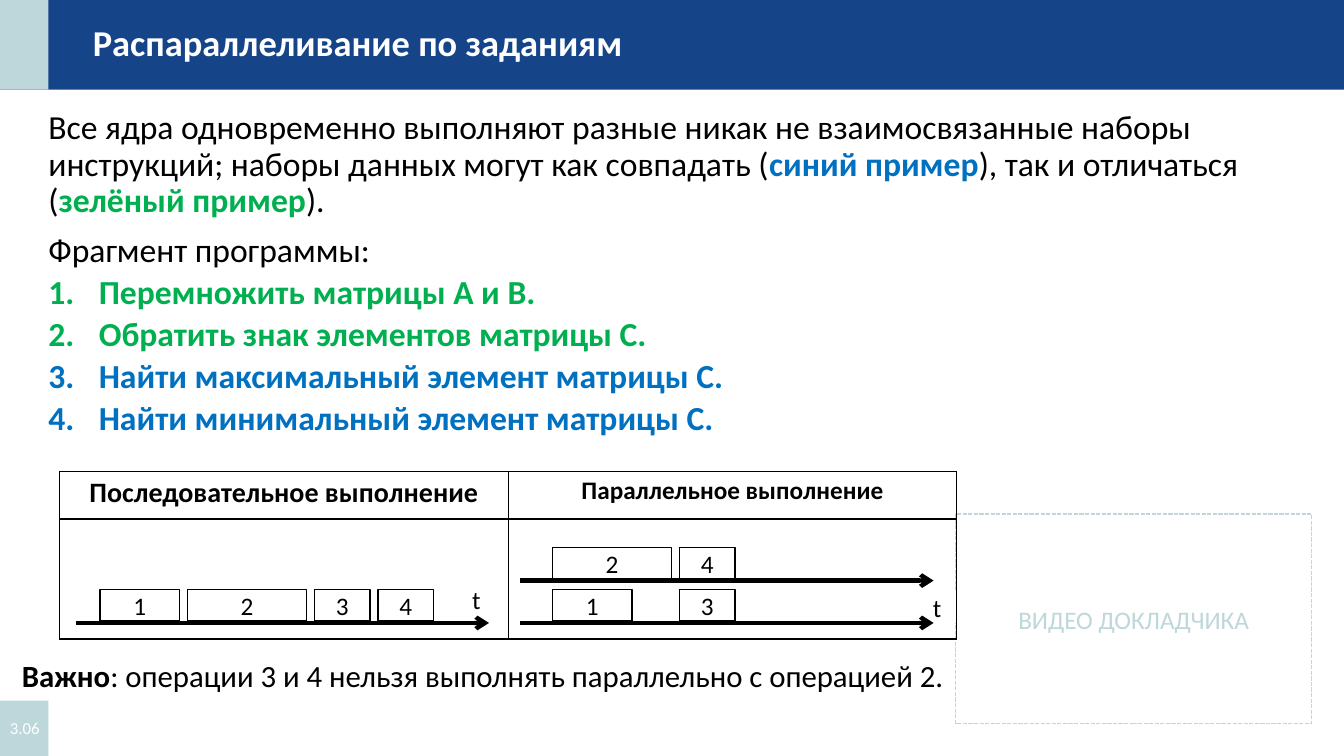
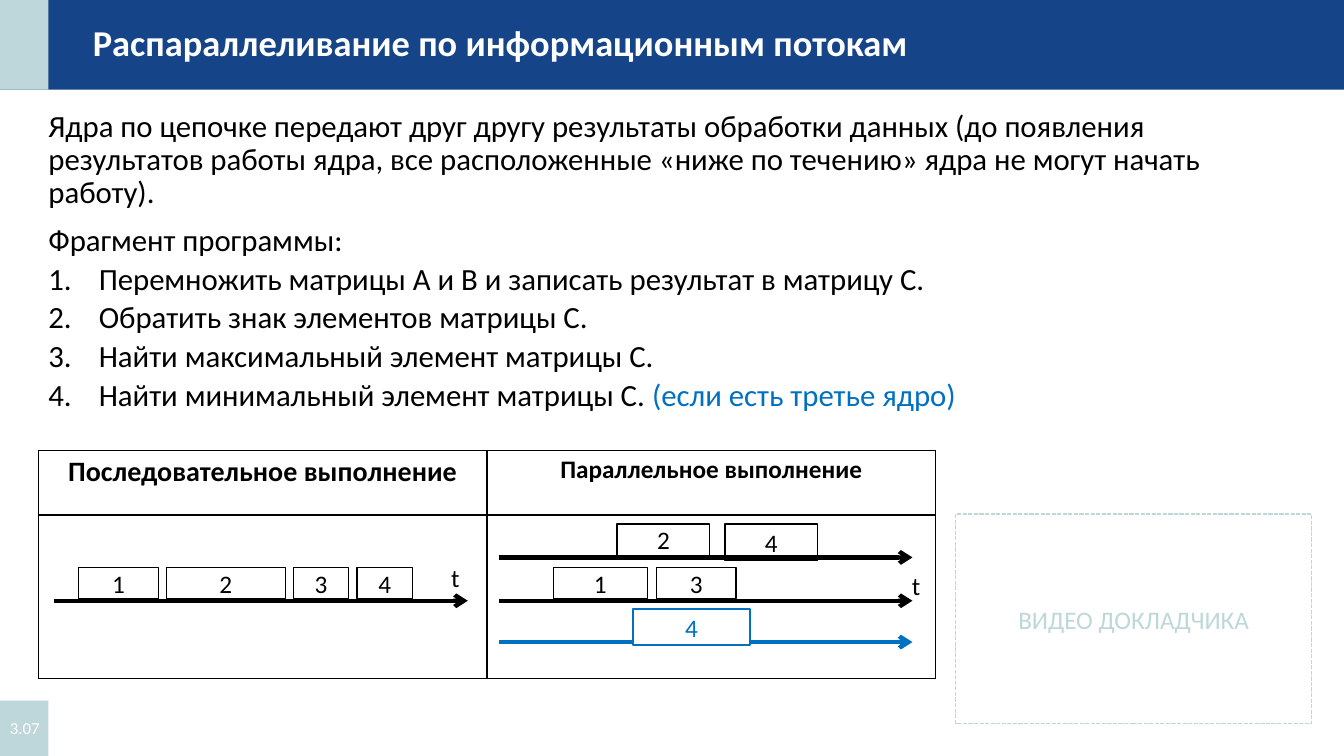
from lxml.etree import SubElement
from pptx import Presentation
from pptx.dml.color import RGBColor
from pptx.enum.dml import MSO_LINE
from pptx.enum.shapes import MSO_CONNECTOR, MSO_SHAPE
from pptx.enum.text import MSO_ANCHOR, MSO_AUTO_SIZE, PP_ALIGN
from pptx.oxml.ns import qn
from pptx.util import Inches, Pt

NAVY = RGBColor(0x16, 0x44, 0x89)
PALE = RGBColor(0xBD, 0xD7, 0xDA)
BLUE = RGBColor(0x00, 0x70, 0xC0)
GREEN = RGBColor(0x00, 0xB0, 0x50)
BLACK = RGBColor(0, 0, 0)
WHITE = RGBColor(0xFF, 0xFF, 0xFF)
FONT = "Calibri"

HEADINGS = [("Последовательное выполнение", 20), ("Параллельное выполнение", 18)]
COLUMN = 4.45
AXIS_LENGTH = 4.1
AXIS_STARTS = [0.16, 4.57]
T_OFFSETS = [(3.86, 0.39), (8.43, 0.31)]
SEQUENCE_START, SEQUENCE_GAP = 0.4, 0.08
SEQUENCE = [("1", 0.79), ("2", 1.18), ("3", 0.55), ("4", 0.55)]
TASK_HEIGHT, TASK_RISE = 0.31, 0.33

SLIDES = [
    {
        "title": "Распараллеливание по заданиям",
        "number": "3.06",
        "size": 24,
        "intro": [
            [("Все ядра одновременно выполняют разные никак не взаимосвязанные наборы "
              "инструкций; наборы данных могут как совпадать (", BLACK, False),
             ("синий пример", BLUE, True),
             ("), так и отличаться (", BLACK, False),
             ("зелёный пример", GREEN, True),
             (").", BLACK, False)],
            [("Фрагмент программы:", BLACK, False)],
        ],
        "steps": [
            [("Перемножить матрицы А и B.", GREEN, True)],
            [("Обратить знак элементов матрицы С.", GREEN, True)],
            [("Найти максимальный элемент матрицы С.", BLUE, True)],
            [("Найти минимальный элемент матрицы С.", BLUE, True)],
        ],
        "table": (0.59, 4.68),
        "rows": [0.47, 1.19],
        "axis": 6.18,
        "lanes": [
            (6.18, BLACK, False, [("1", 4.89, 0.79), ("3", 6.15, 0.55)]),
            (5.76, BLACK, True, [("2", 4.89, 1.18), ("4", 6.15, 0.55)]),
        ],
        "note": [("Важно", BLACK, True),
                 (": операции 3 и 4 нельзя выполнять параллельно с операцией 2.",
                  BLACK, False)],
    },
    {
        "title": "Распараллеливание по информационным потокам",
        "number": "3.07",
        "size": 22,
        "intro": [
            [("Ядра по цепочке передают друг другу результаты обработки данных (до появления "
              "результатов работы ядра, все расположенные «ниже по течению» ядра не могут "
              "начать работу).", BLACK, False)],
            [("Фрагмент программы:", BLACK, False)],
        ],
        "steps": [
            [("Перемножить матрицы А и B и записать результат в матрицу С.", BLACK, False)],
            [("Обратить знак элементов матрицы С.", BLACK, False)],
            [("Найти максимальный элемент матрицы С.", BLACK, False)],
            [("Найти минимальный элемент матрицы С. ", BLACK, False),
             ("(если есть третье ядро)", BLUE, False)],
        ],
        "table": (0.38, 4.47),
        "rows": [0.64, 1.62],
        "axis": 5.96,
        "lanes": [
            (5.96, BLACK, False, [("1", 5.11, 0.93), ("3", 6.13, 0.79)]),
            (5.53, BLACK, True, [("2", 5.74, 0.92), ("4", 6.81, 0.92, 0.36)]),
            (6.37, BLUE, False, [("4", 5.9, 1.16, 0.36)]),
        ],
        "note": None,
    },
]


def style(paragraph, size, color=None, bold=None, align=None):
    font = paragraph.font
    font.name, font.size, font.bold = FONT, Pt(size), bold
    if color is not None:
        font.color.rgb = color
    if align is not None:
        paragraph.alignment = align


def add_runs(paragraph, pieces):
    for text, color, bold in pieces:
        run = paragraph.add_run()
        run.text = text
        run.font.color.rgb = color
        run.font.bold = bold


def add_box(slide, left, top, width, height, fill=None, line=None, text="", color=BLACK):
    box = slide.shapes.add_shape(
        MSO_SHAPE.RECTANGLE, Inches(left), Inches(top), Inches(width), Inches(height))
    box.shadow.inherit = False
    if fill is None:
        box.fill.background()
    else:
        box.fill.solid()
        box.fill.fore_color.rgb = fill
    if line is None:
        box.line.fill.background()
    else:
        box.line.color.rgb = line
        box.line.width = Pt(1)
    if text:
        box.text_frame.text = text
        box.text_frame.vertical_anchor = MSO_ANCHOR.MIDDLE
        style(box.text_frame.paragraphs[0], 18, color, align=PP_ALIGN.CENTER)
    return box


def add_label(slide, left, top, width, height):
    frame = slide.shapes.add_textbox(
        Inches(left), Inches(top), Inches(width), Inches(height)).text_frame
    frame.word_wrap = True
    return frame


def add_axis(slide, left, y, color):
    axis = slide.shapes.add_connector(
        MSO_CONNECTOR.STRAIGHT, Inches(left), Inches(y), Inches(left + AXIS_LENGTH), Inches(y))
    axis.line.color.rgb = color
    axis.line.width = Pt(3)
    SubElement(axis.line._get_or_add_ln(), qn("a:tailEnd"), type="arrow")
    SubElement(axis.element.spPr, qn("a:effectLst"))


def add_lane(slide, left, start, y, color, axis_on_top, tasks):
    if not axis_on_top:
        add_axis(slide, left + start, y, color)
    for label, offset, width, *height in tasks:
        add_box(slide, left + offset, y - TASK_RISE, width, *(height or [TASK_HEIGHT]),
                fill=WHITE, line=color, text=label, color=color)
    if axis_on_top:
        add_axis(slide, left + start, y, color)


def add_comparison(slide, left, top, heights):
    table = slide.shapes.add_table(
        2, 2, Inches(left), Inches(top), Inches(2 * COLUMN), Inches(sum(heights))).table
    table.first_row = table.horz_banding = False
    for row, height in zip(table.rows, heights):
        row.height = Inches(height)
    for cell in table.iter_cells():
        properties = cell._tc.get_or_add_tcPr()
        for side in ("lnL", "lnR", "lnT", "lnB"):
            border = SubElement(properties, qn(f"a:{side}"), w=str(Pt(1)))
            fill = SubElement(border, qn("a:solidFill"))
            SubElement(fill, qn("a:srgbClr"), val=str(BLACK))
        cell.fill.background()
        cell.margin_left = cell.margin_right = Inches(0.04)
        cell.margin_top = cell.margin_bottom = Inches(0.04)
    for column, (heading, size) in enumerate(HEADINGS):
        cell = table.cell(0, column)
        cell.text = heading
        style(cell.text_frame.paragraphs[0], size, BLACK, True, PP_ALIGN.CENTER)


def prepare_layout(layout):
    places = {0: (0.82, 0.24, 9.69, 0.4), 1: (0.38, 1.05, 12.44, 2.4)}
    for holder in list(layout.placeholders):
        place = places.get(holder.placeholder_format.idx)
        if place is None:
            holder.element.getparent().remove(holder.element)
        else:
            holder.left, holder.top, holder.width, holder.height = map(Inches, place)


def move_frame_to_layout(slide):
    video = add_box(slide, 9.48, 5.1, 3.53, 2.08, line=PALE,
                    text="ВИДЕО ДОКЛАДЧИКА", color=PALE)
    video.line.dash_style = MSO_LINE.SQUARE_DOT
    frame = [
        add_box(slide, 0, 0, 13.33, 0.89, fill=NAVY),
        add_box(slide, 0, 0, 0.48, 0.89, fill=PALE),
        add_box(slide, 0, 6.95, 0.48, 0.55, fill=PALE),
        video,
    ]
    for part in frame:
        slide.slide_layout.shapes.element.append(part.element)


def fill_title(slide, text):
    frame = slide.shapes.title.text_frame
    frame.text = text
    frame.auto_size = MSO_AUTO_SIZE.NONE
    frame.vertical_anchor = MSO_ANCHOR.MIDDLE
    frame.paragraphs[0].line_spacing = 0.9
    style(frame.paragraphs[0], 26, WHITE, True, PP_ALIGN.LEFT)


def fill_body(slide, intro, steps, size):
    frame = slide.placeholders[1].text_frame
    frame.auto_size = MSO_AUTO_SIZE.NONE
    for index, pieces in enumerate(intro + steps):
        paragraph = frame.add_paragraph() if index else frame.paragraphs[0]
        numbered = index >= len(intro)
        indent = Inches(0.5) if numbered else 0
        properties = paragraph._p.get_or_add_pPr()
        properties.set("marL", str(indent))
        properties.set("indent", str(-indent))
        if numbered:
            SubElement(properties, qn("a:buFont"), typeface="+mj-lt")
            SubElement(properties, qn("a:buAutoNum"), type="arabicPeriod")
        else:
            SubElement(properties, qn("a:buNone"))
        paragraph.line_spacing = 0.9
        paragraph.space_before = Pt(4 if numbered else 10)
        style(paragraph, size)
        add_runs(paragraph, pieces)


def add_timelines(slide, content):
    left, top = content["table"]
    y = content["axis"]
    for offset, rise in T_OFFSETS:
        add_box(slide, left + offset, y - rise, 0.55, 0.31, fill=WHITE, text="t")
    add_comparison(slide, left, top, content["rows"])
    sequence, offset = [], SEQUENCE_START
    for label, width in SEQUENCE:
        sequence.append((label, offset, width))
        offset += width + SEQUENCE_GAP
    add_lane(slide, left, AXIS_STARTS[0], y, BLACK, False, sequence)
    for lane in content["lanes"]:
        add_lane(slide, left, AXIS_STARTS[1], *lane)


def main():
    deck = Presentation()
    deck.slide_width, deck.slide_height = Inches(13.33), Inches(7.5)
    layout = deck.slide_layouts[1]
    prepare_layout(layout)
    for index, content in enumerate(SLIDES):
        slide = deck.slides.add_slide(layout)
        if index == 0:
            move_frame_to_layout(slide)
        fill_title(slide, content["title"])
        fill_body(slide, content["intro"], content["steps"], content["size"])
        add_timelines(slide, content)
        if content["note"]:
            note = add_label(slide, 0.12, 6.47, 9.47, 0.49).paragraphs[0]
            style(note, 22, align=PP_ALIGN.JUSTIFY)
            add_runs(note, content["note"])
        number = add_label(slide, 0, 7.02, 0.56, 0.4)
        number.text = content["number"]
        number.vertical_anchor = MSO_ANCHOR.MIDDLE
        style(number.paragraphs[0], 12, WHITE)
    deck.save("out.pptx")


if __name__ == "__main__":
    main()
